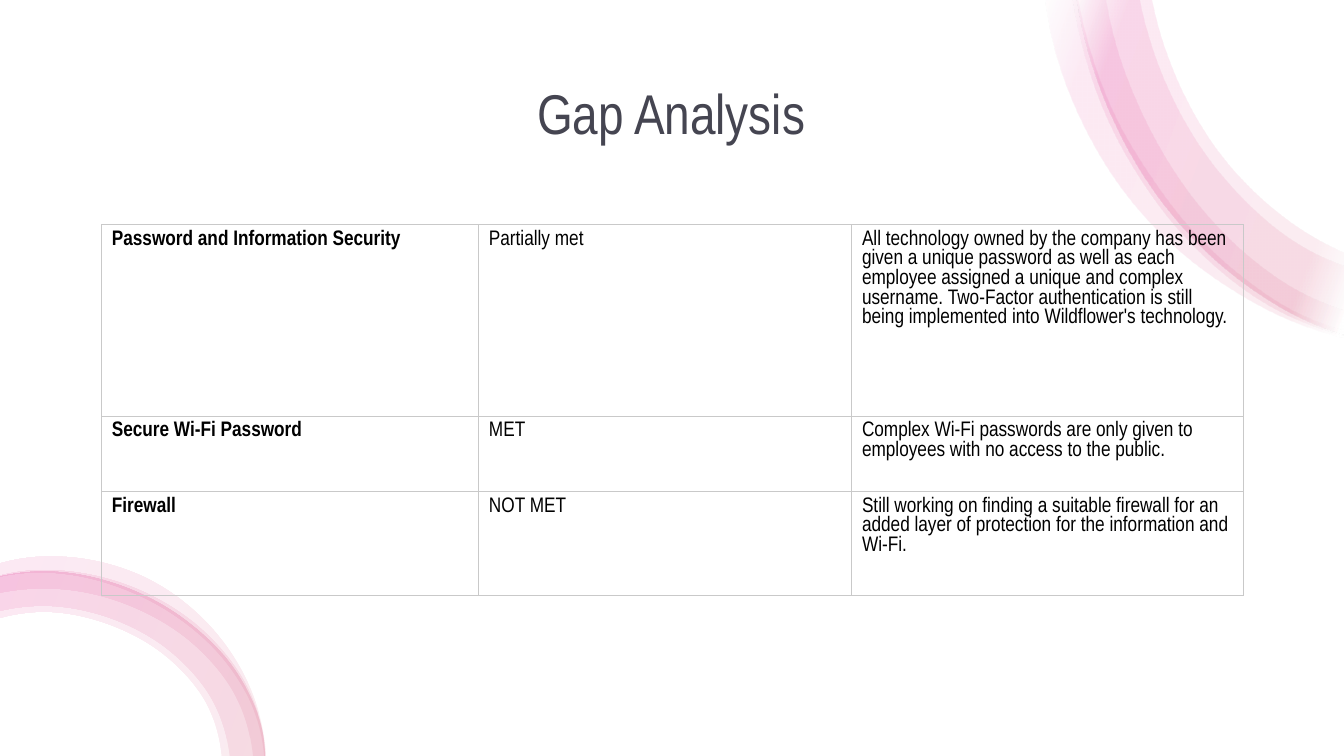
from math import dist

from lxml import etree
from pptx import Presentation
from pptx.dml.color import RGBColor
from pptx.enum.shapes import MSO_SHAPE
from pptx.enum.text import MSO_ANCHOR, MSO_AUTO_SIZE, PP_ALIGN
from pptx.oxml import parse_xml
from pptx.oxml.ns import nsdecls, qn
from pptx.util import Inches, Pt

RECTANGLE = MSO_SHAPE.RECTANGLE
MIDDLE, NO_FIT, CENTER = MSO_ANCHOR.MIDDLE, MSO_AUTO_SIZE.NONE, PP_ALIGN.CENTER

THEME = {
    "font": "Arial Narrow",
    "title_size": Pt(40), "cell_size": Pt(15), "border": Pt(0.75),
    "paper": "FFFFFF", "title": "454551", "ink": "000000", "grid": "C9C9C9",
    "faded": [(2, "FFFFFF"), (16, "D54773"), (85, "E32D91"), (100, "FFFFFF")],
    "unfaded": [(0, "D54773"), (100, "E32D91")],
    "ribbon_alpha": 10, "ribbon_angle": 200,
}

# Each ribbon band is an outer edge followed by an inner edge, in inches
TOP_ARC = [(13.33, 3.32), (13.09, 3.24), (12.24, 2.74), (11.52, 2), (10.99, 1.07),
           (10.69, 0.04), (10.67, -0.09)]
TOP_RIGHT = [
    ([(13.33, 3.35), (12.82, 3.19), (12.21, 2.87), (11.65, 2.45), (11.16, 1.92),
      (10.78, 1.31), (10.41, 0.26), (10.36, -0.09)],
     [(10.68, -0.09), (10.82, 0.52), (11.06, 1.15), (11.4, 1.73), (11.81, 2.27),
      (12.3, 2.73), (12.86, 3.1), (13.33, 3.28)]),
    (TOP_ARC, [(11.41, -0.09), (11.58, 0.55), (12.19, 1.64), (13.07, 2.38), (13.33, 2.51)]),
    ([(13.33, 3.33), (12.79, 3.14), (11.73, 2.33), (11.32, 1.79), (10.99, 1.19),
      (10.68, 0.2), (10.63, -0.09)],
     [(10.96, -0.09), (11.07, 0.44), (11.29, 1.04), (11.95, 2.11), (12.39, 2.55),
      (12.9, 2.9), (13.33, 3.08)]),
    (TOP_ARC, [(11.29, -0.09), (11.47, 0.59), (12.1, 1.72), (13.01, 2.5), (13.33, 2.64)]),
]
BOTTOM_ARC = [(2.63, 7.5), (2.62, 7.35), (2.36, 6.69), (1.85, 6.16), (1.17, 5.8),
              (0.4, 5.67), (0, 5.72)]
BOTTOM_LEFT = [
    (BOTTOM_ARC, [(0, 6.13), (0.4, 6.07), (1.07, 6.19), (1.66, 6.52), (2.06, 7), (2.2, 7.5)]),
    (BOTTOM_ARC, [(0, 6.06), (0.4, 6.01), (1.09, 6.13), (1.7, 6.47), (2.12, 6.97), (2.28, 7.5)]),
    ([(2.63, 7.5), (2.59, 7.19), (2.47, 6.85), (2.03, 6.27), (1.42, 5.87),
      (0.69, 5.67), (0.31, 5.66), (0, 5.71)],
     [(0, 5.88), (0.33, 5.84), (0.67, 5.85), (1.34, 6.03), (1.92, 6.39),
      (2.34, 6.91), (2.51, 7.5)]),
    ([(2.64, 7.5), (2.5, 6.87), (2.1, 6.23), (1.48, 5.75), (0.71, 5.53),
      (0.31, 5.53), (0, 5.59)],
     [(0, 5.72), (0.32, 5.68), (0.69, 5.7), (1.22, 5.84), (1.71, 6.09),
      (2.25, 6.58), (2.52, 7.05), (2.62, 7.5)]),
]

# Cell texts end in a no-break space, which takes part in the line breaking
ROWS = [
    ("Password and Information Security ", "Partially met ",
     "All technology owned by the company has been given a unique password as well as "
     "each employee assigned a unique and complex username. Two-Factor authentication "
     "is still being implemented into Wildflower's technology. "),
    ("Secure Wi-Fi Password ", "MET ",
     "Complex Wi-Fi passwords are only given to employees with no access to the public. "),
    ("Firewall ", "NOT MET ",
     "Still working on finding a suitable firewall for an added layer of protection for "
     "the information and Wi-Fi. "),
]
COLUMN_WIDTHS = [3.74, 3.7, 3.88]
ROW_HEIGHTS = [1.9, 0.75, 1.03]


def bend_edge(knots, nodes):
    """Turn the straight path nodes after the first knot into smooth cubic curves."""
    gaps = [dist(a, b) for a, b in zip(knots, knots[1:])]
    chords = [[(q - p) / gap for p, q in zip(a, b)]
              for a, b, gap in zip(knots, knots[1:], gaps)]
    slopes = [[(u * h + v * g) / (g + h) for u, v in zip(before, after)]
              for before, after, g, h in zip(chords, chords[1:], gaps, gaps[1:])]
    first = [2 * u - v for u, v in zip(chords[0], slopes[0])]
    last = [2 * u - v for u, v in zip(chords[-1], slopes[-1])]
    slopes = [first, *slopes, last]
    for i, node in enumerate(nodes):
        reach = gaps[i] / 3
        controls = ([p + m * reach for p, m in zip(knots[i], slopes[i])],
                    [p - m * reach for p, m in zip(knots[i + 1], slopes[i + 1])])
        curve = etree.Element(qn("a:cubicBezTo"))
        for x, y in (*controls, knots[i + 1]):
            etree.SubElement(curve, qn("a:pt"), x=str(round(x)), y=str(round(y)))
        node.getparent().replace(node, curve)


def style_text(frame, size, color, bold=False):
    for para in frame.paragraphs:
        for span in para.runs:
            span.font.name, span.font.size, span.font.bold = THEME["font"], size, bold
            span.font.color.rgb = RGBColor.from_string(color)


deck = Presentation()
deck.slide_width, deck.slide_height = Inches(13.33), Inches(7.5)
page = deck.slides.add_slide(deck.slide_layouts[5])
title = page.shapes.title

# White sheet behind everything
sheet = page.shapes.add_shape(RECTANGLE, 0, 0, deck.slide_width, deck.slide_height)
sheet.shadow.inherit = False
sheet.fill.solid()
sheet.fill.fore_color.rgb = RGBColor.from_string(THEME["paper"])
sheet.line.fill.background()
title.element.addprevious(sheet.element)

# Title
title.left, title.top, title.width, title.height = map(Inches, (0.87, 0.5, 11.57, 1.3))
title.text_frame.text = "Gap Analysis"
title.text_frame.vertical_anchor = MIDDLE
title.text_frame.auto_size = NO_FIT
title.text_frame.paragraphs[0].alignment = CENTER
title.text_frame.paragraphs[0].line_spacing = 0.9
style_text(title.text_frame, THEME["title_size"], THEME["title"])

# Translucent corner ribbons
for ribbon, tones in ((TOP_RIGHT, THEME["faded"]), (BOTTOM_LEFT, THEME["unfaded"])):
    stops = "".join(
        f'<a:gs pos="{place * 1000}"><a:srgbClr val="{color}">'
        f'<a:alpha val="{THEME["ribbon_alpha"] * 1000}"/></a:srgbClr></a:gs>'
        for place, color in tones)
    gradient = (f'<a:gradFill {nsdecls("a")} rotWithShape="1"><a:gsLst>{stops}</a:gsLst>'
                f'<a:lin ang="{THEME["ribbon_angle"] * 60000}" scaled="0"/></a:gradFill>')
    group = page.shapes.add_group_shape()
    for edges in ribbon:
        outer, inner = [[(Inches(x), Inches(y)) for x, y in edge] for edge in edges]
        builder = group.shapes.build_freeform(*outer[0])
        builder.add_line_segments(outer[1:] + inner, close=True)
        band = builder.convert_to_shape()
        band.shadow.inherit = False
        band.line.fill.background()
        geometry = band.element.spPr.find(qn("a:custGeom"))
        geometry.addnext(parse_xml(gradient))
        nodes = list(geometry.iter(qn("a:lnTo")))
        for edge, part in ((outer, nodes[:len(outer) - 1]), (inner, nodes[len(outer):])):
            bend_edge([(x - band.left, y - band.top) for x, y in edge],
                      part[:len(edge) - 1])

# Gap table
frame = page.shapes.add_table(len(ROWS), len(COLUMN_WIDTHS), Inches(1.01), Inches(2.23),
                              Inches(sum(COLUMN_WIDTHS)), Inches(sum(ROW_HEIGHTS)))
table = frame.table
table.first_row = table.horz_banding = False
for column, width in zip(table.columns, COLUMN_WIDTHS):
    column.width = Inches(width)
for row, height, texts in zip(table.rows, ROW_HEIGHTS, ROWS):
    row.height = Inches(height)
    for index, (cell, text) in enumerate(zip(row.cells, texts)):
        cell.text_frame.text = text
        style_text(cell.text_frame, THEME["cell_size"], THEME["ink"], bold=index == 0)
        properties = cell._tc.get_or_add_tcPr()
        for side in ("lnL", "lnR", "lnT", "lnB"):
            line = etree.SubElement(properties, qn(f"a:{side}"), w=str(THEME["border"]))
            paint = etree.SubElement(line, qn("a:solidFill"))
            etree.SubElement(paint, qn("a:srgbClr"), val=THEME["grid"])
        cell.fill.background()

deck.save("out.pptx")
